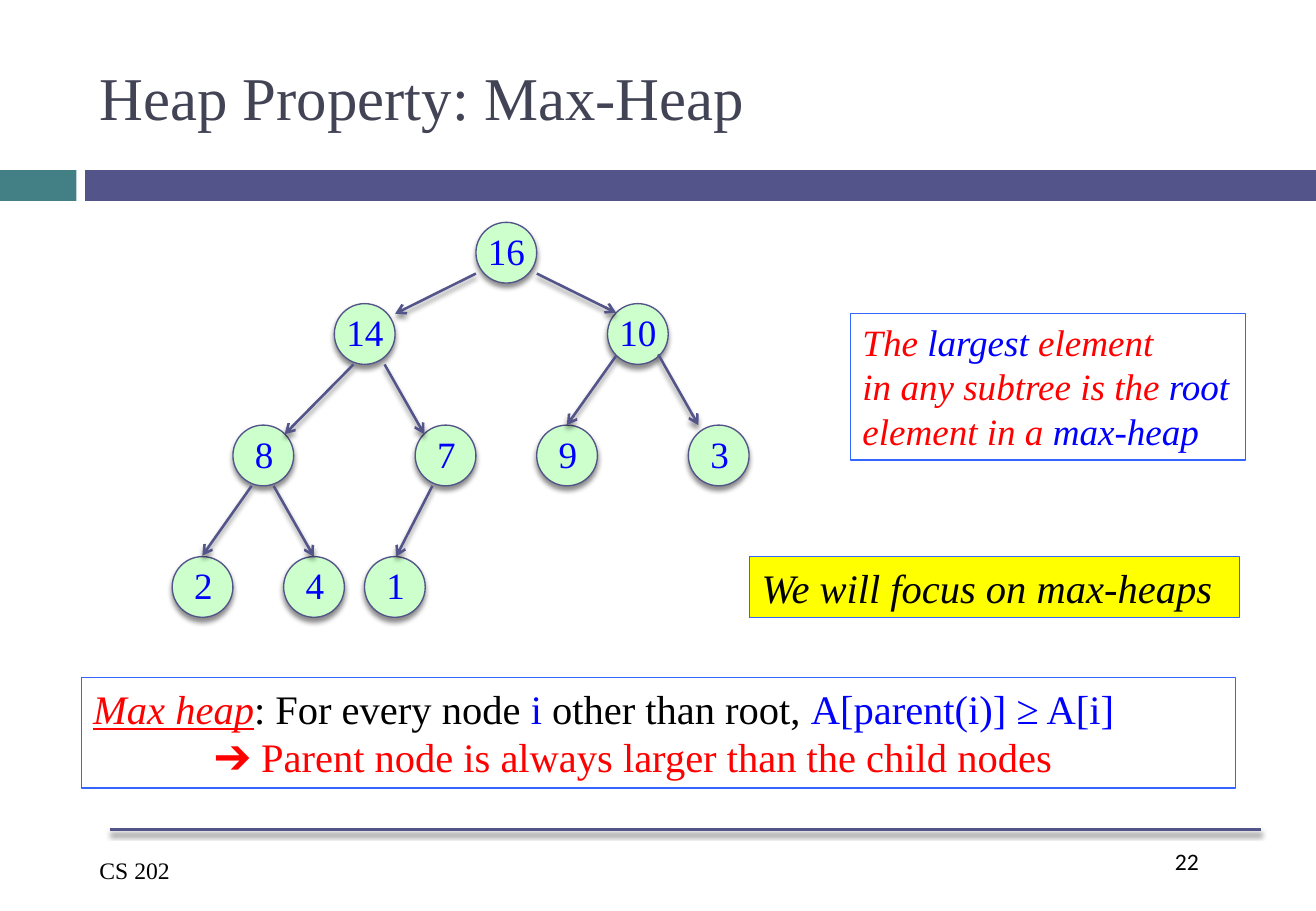
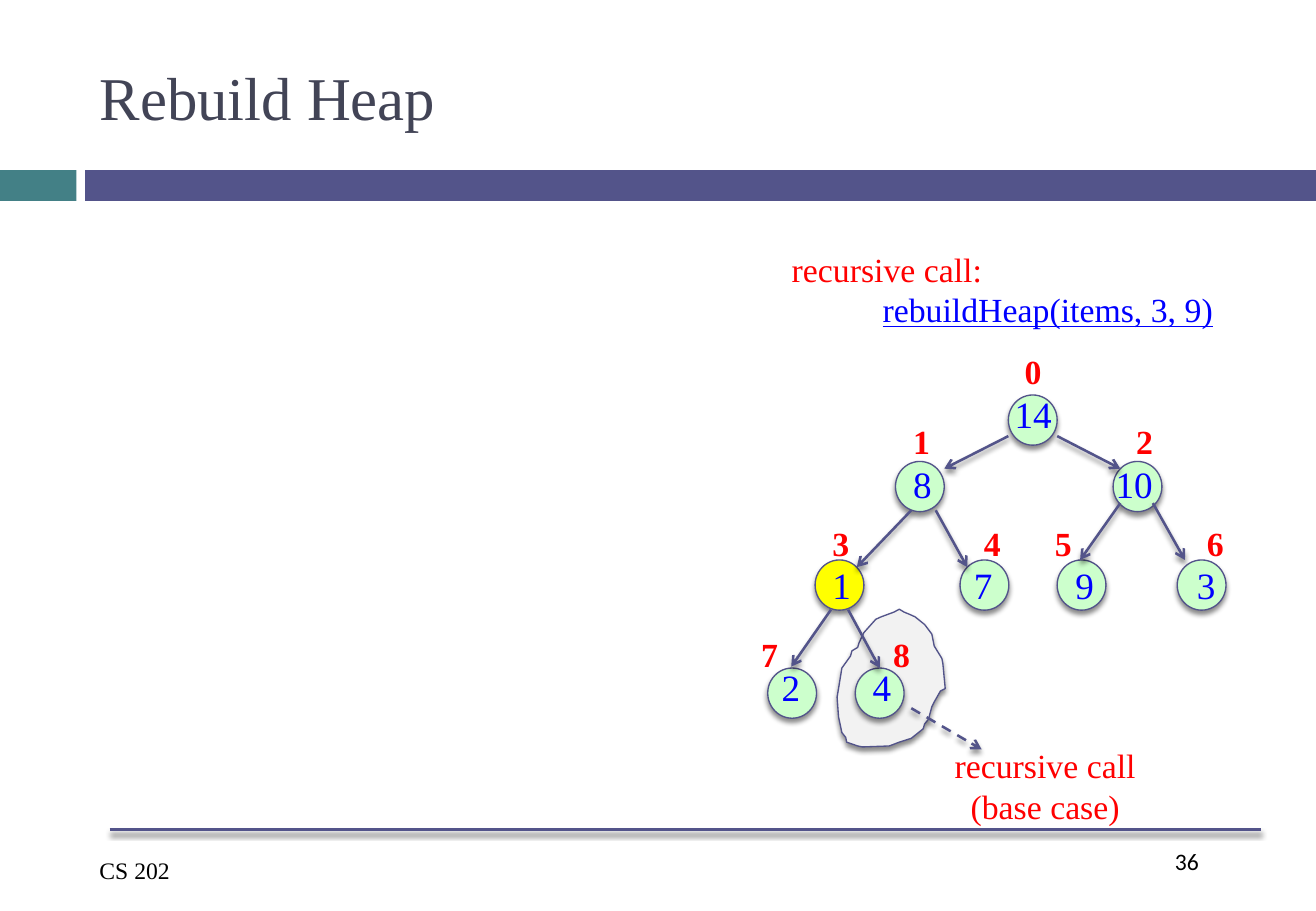
"""Build two lecture slides about heaps with one shared style."""
from pptx import Presentation
from pptx.dml.color import RGBColor
from pptx.enum.dml import MSO_LINE
from pptx.enum.shapes import MSO_CONNECTOR as Connector, MSO_SHAPE as Preset
from pptx.enum.text import MSO_ANCHOR as Anchor, MSO_AUTO_SIZE as AutoSize, PP_ALIGN as Align
from pptx.oxml import parse_xml
from pptx.oxml.ns import nsdecls, qn
from pptx.util import Cm, Pt

BLACK = RGBColor(0x00, 0x00, 0x00)
RED = RGBColor(0xFF, 0x00, 0x00)
BLUE = RGBColor(0x00, 0x00, 0xFF)
YELLOW = RGBColor(0xFF, 0xFF, 0x00)
GREEN = RGBColor(0xCC, 0xFF, 0xCC)
GRAY = RGBColor(0xF2, 0xF2, 0xF2)
TEAL = RGBColor(0x43, 0x80, 0x86)
INDIGO = RGBColor(0x53, 0x54, 0x8A)
SLATE = RGBColor(0x42, 0x44, 0x56)
FRAME_BLUE = RGBColor(0x33, 0x66, 0xFF)

SERIF = "Times New Roman"
SLIDE_WIDTH, SLIDE_HEIGHT = 27.51, 19.05
SHADOW = (
    f'<a:effectLst {nsdecls("a")}>'
    '<a:outerShdw blurRad="38100" dist="30480" dir="5400000" rotWithShape="0">'
    '<a:srgbClr val="000000"><a:alpha val="45000"/></a:srgbClr>'
    '</a:outerShdw></a:effectLst>'
)
ARROWHEAD = f'<a:tailEnd {nsdecls("a")} type="arrow"/>'


class HeapDeck:
    """Hold the shared style and draw on the current slide."""

    def __init__(self):
        """Start an empty presentation."""
        self.presentation = Presentation()
        self.presentation.slide_width = Cm(SLIDE_WIDTH)
        self.presentation.slide_height = Cm(SLIDE_HEIGHT)
        self.slide = None

    def start_slide(self, title, number):
        """Add a slide with its title, bands and footer."""
        self.slide = self.presentation.slides.add_slide(self.presentation.slide_layouts[5])
        self.band(0, 1.6, TEAL)
        self.band(1.78, SLIDE_WIDTH - 1.78, INDIGO)
        self.line(2.29, 17.35, 26.37, 17.35, arrow=False)
        self.text(24.31, 17.58, 2.06, 1.27, [[(number, BLACK, "")]], 14, font="Calibri")
        self.text(1.83, 17.78, 5.05, 0.86, [[("CS 202", BLACK, "")]], 14)

        shape = self.slide.shapes.title
        shape.left, shape.top, shape.width, shape.height = Cm(1.83), Cm(0.64), Cm(24.54), Cm(2.74)
        frame = shape.text_frame
        frame.text = title
        frame.auto_size = AutoSize.NONE
        frame.vertical_anchor = Anchor.MIDDLE
        paragraph = frame.paragraphs[0]
        paragraph.alignment = Align.LEFT
        self.style_run(paragraph.runs[0], 36, SLATE)

    def style_run(self, run, size, color, styles="", font=SERIF):
        """Format a run; styles may hold b, i and u."""
        run.font.name = font
        run.font.size = Pt(size)
        run.font.color.rgb = color
        run.font.bold = "b" in styles
        run.font.italic = "i" in styles
        run.font.underline = "u" in styles

    def band(self, left, width, color):
        """Draw a piece of the band below the title."""
        shape = self.slide.shapes.add_shape(Preset.RECTANGLE, Cm(left), Cm(3.56), Cm(width), Cm(0.64))
        shape.shadow.inherit = False
        shape.fill.solid()
        shape.fill.fore_color.rgb = color
        shape.line.fill.background()

    def text(self, left, top, width, height, paragraphs, size, font=SERIF, wrap=True,
             align=Align.LEFT):
        """Add a text box from paragraphs of (text, color, styles) runs."""
        box = self.slide.shapes.add_textbox(Cm(left), Cm(top), Cm(width), Cm(height))
        frame = box.text_frame
        frame.word_wrap = wrap
        for index, pieces in enumerate(paragraphs):
            paragraph = frame.add_paragraph() if index else frame.paragraphs[0]
            paragraph.alignment = align
            for words, color, styles in pieces:
                run = paragraph.add_run()
                run.text = words
                self.style_run(run, size, color, styles, font)
        return box

    def label(self, left, top, width, height, words, size, color, styles=""):
        """Add one line of text that does not wrap."""
        return self.text(left, top, width, height, [[(words, color, styles)]], size, wrap=False)

    def framed(self, left, top, width, height, paragraphs, size, fill=None):
        """Add a text box with a thin blue frame."""
        box = self.text(left, top, width, height, paragraphs, size)
        box.line.color.rgb = FRAME_BLUE
        box.line.width = Pt(0.75)
        if fill is not None:
            box.fill.solid()
            box.fill.fore_color.rgb = fill
        return box

    def outline(self, shape, fill):
        """Give a shape its fill, thin line and soft shadow."""
        shape.fill.solid()
        shape.fill.fore_color.rgb = fill
        shape.line.color.rgb = INDIGO
        shape.line.width = Pt(0.79)
        shape.element.spPr.append(parse_xml(SHADOW))

    def node(self, value, left, top, width, height, label_left, label_top, fill=GREEN):
        """Draw a tree node and its value."""
        shape = self.slide.shapes.add_shape(Preset.OVAL, Cm(left), Cm(top), Cm(width), Cm(height))
        self.outline(shape, fill)
        label_width = 1.3 if len(value) > 1 else 0.91
        self.label(label_left, label_top, label_width, 1.19, value, 22, BLUE)

    def line(self, start_x, start_y, end_x, end_y, arrow=True, dashed=False):
        """Draw a shadowed line, by default with an arrowhead."""
        connector = self.slide.shapes.add_connector(
            Connector.STRAIGHT, Cm(start_x), Cm(start_y), Cm(end_x), Cm(end_y))
        connector.line.color.rgb = INDIGO
        connector.line.width = Pt(1.5)
        if dashed:
            connector.line.dash_style = MSO_LINE.DASH
        properties = connector.element.spPr
        if arrow:
            properties.find(qn("a:ln")).append(parse_xml(ARROWHEAD))
        properties.append(parse_xml(SHADOW))

    def loop(self, points):
        """Draw a closed outline through the points."""
        corners = [(Cm(x), Cm(y)) for x, y in points]
        builder = self.slide.shapes.build_freeform(*corners[0])
        builder.add_line_segments(corners[1:], close=True)
        self.outline(builder.convert_to_shape(), GRAY)


MAX_HEAP_ROWS = [
    (4.65, [("16", 9.95)]),
    (6.35, [("14", 6.99), ("10", 12.7)]),
    (8.89, [("8", 4.87), ("7", 8.68), ("9", 11.22), ("3", 14.39)]),
    (11.64, [("2", 3.6), ("4", 5.93), ("1", 7.62)]),
]
MAX_HEAP_EDGES = [
    (9.95, 5.72, 8.26, 6.56), (11.22, 5.72, 12.88, 6.54),
    (7.39, 7.62, 5.95, 9.08), (8.04, 7.62, 8.87, 9.08),
    (12.88, 7.44, 11.85, 8.89), (13.76, 7.41, 14.6, 8.89),
    (5.26, 10.16, 4.23, 11.62), (5.72, 10.16, 6.56, 11.64),
    (9.04, 10.16, 8.28, 11.64),
]
REBUILD_ROWS = [
    (8.26, 8.05, 7.2, [("14", 21.08, 20.96, 21.17)]),
    (9.65, 9.53, 8.68, [("8", 18.72, 18.84, 18.84), ("10", 23.27, 23.07, 23.5)]),
    (11.71, 11.64, 10.8, [("1", 17.04, 17.15, 17.15), ("7", 20.07, 20.11, 20.32),
                          ("9", 22.1, 22.23, 21.8), ("3", 24.61, 24.77, 24.98)]),
    (13.97, 13.76, 13.12, [("2", 16.05, 16.09, 15.66), ("4", 17.88, 17.99, 18.42)]),
]
REBUILD_EDGES = [
    (21.08, 9.12, 19.74, 9.8), (22.1, 9.12, 23.42, 9.8),
    (19.05, 10.67, 17.91, 11.86), (19.56, 10.67, 20.22, 11.86),
    (23.42, 10.52, 22.58, 11.71), (24.1, 10.52, 24.77, 11.71),
    (17.37, 12.75, 16.54, 13.94), (17.73, 12.75, 18.39, 13.97),
]
BASE_CASE_OUTLINE = [
    (18.69, 12.8), (18.42, 12.9), (18.31, 12.95), (18.06, 13.23), (17.96, 13.44),
    (17.93, 13.54), (17.81, 13.61), (17.78, 13.72), (17.6, 13.97), (17.53, 14.4),
    (17.5, 14.58), (17.53, 14.99), (17.6, 15.32), (17.68, 15.42), (17.7, 15.52),
    (17.93, 15.6), (18.03, 15.62), (18.59, 15.6), (18.8, 15.52), (19.05, 15.44),
    (19.2, 15.32), (19.3, 15.24), (19.33, 15.14), (19.41, 15.04), (19.48, 14.78),
    (19.53, 14.68), (19.66, 14.45), (19.76, 14.4), (19.71, 13.87), (19.69, 13.77),
    (19.53, 13.51), (19.48, 13.26), (19.33, 13.06), (19.13, 12.9), (19.02, 12.85),
    (18.9, 12.8), (18.8, 12.74),
]

deck = HeapDeck()

deck.start_slide("Heap Property: Max-Heap", "22")
for top, nodes in MAX_HEAP_ROWS:
    for value, left in nodes:
        inset = 0 if len(value) > 1 else 0.21
        deck.node(value, left, top, 1.27, 1.27, left + inset, top)
for edge in MAX_HEAP_EDGES:
    deck.line(*edge)
definition = deck.framed(1.7, 14.17, 24.13, 2.31, [
    [("Max heap", RED, "iu"), (": For every node ", BLACK, ""), ("i", BLUE, ""),
     (" other than root, ", BLACK, ""), ("A[parent(i)] ≥ A[i]", BLUE, "")],
    [("➔ Parent node is always larger than the child nodes", RED, "")],
], 24)
consequence = definition.text_frame.paragraphs[1]
consequence._p.get_or_add_pPr().set("marL", str(Cm(2.54)))
deck.framed(17.78, 6.55, 8.26, 3.07, [
    [("The ", RED, "i"), ("largest ", BLUE, "i"), ("element", RED, "i")],
    [("in any subtree is the ", RED, "i"), ("root", BLUE, "i"),
     (" element in a ", RED, "i"), ("max-heap", BLUE, "i")],
], 22)
deck.framed(15.67, 11.64, 10.24, 1.27, [[("We will focus on max-heaps", BLACK, "i")]], 24, YELLOW)

deck.start_slide("Rebuild Heap", "36")
deck.loop(BASE_CASE_OUTLINE)
index = 0
for top, value_top, index_top, nodes in REBUILD_ROWS:
    for value, left, value_left, index_left in nodes:
        fill = YELLOW if value == "1" else GREEN
        deck.node(value, left, top, 1.02, 1.05, value_left, value_top, fill)
        deck.label(index_left, index_top, 0.86, 1.12, str(index), 20, RED, "b")
        index += 1
for edge in REBUILD_EDGES:
    deck.line(*edge)
deck.line(19.05, 14.81, 20.52, 15.67, dashed=True)
deck.label(16.3, 5.08, 4.52, 1.12, "recursive call:", 20, RED)
deck.label(18.2, 5.92, 7.47, 1.12, "rebuildHeap(items, 3, 9)", 20, BLUE, "u")
deck.text(19.69, 15.45, 4.32, 1.96,
          [[("recursive call", RED, "")], [("(base case)", RED, "")]],
          20, wrap=False, align=Align.CENTER)

deck.presentation.save("out.pptx")
